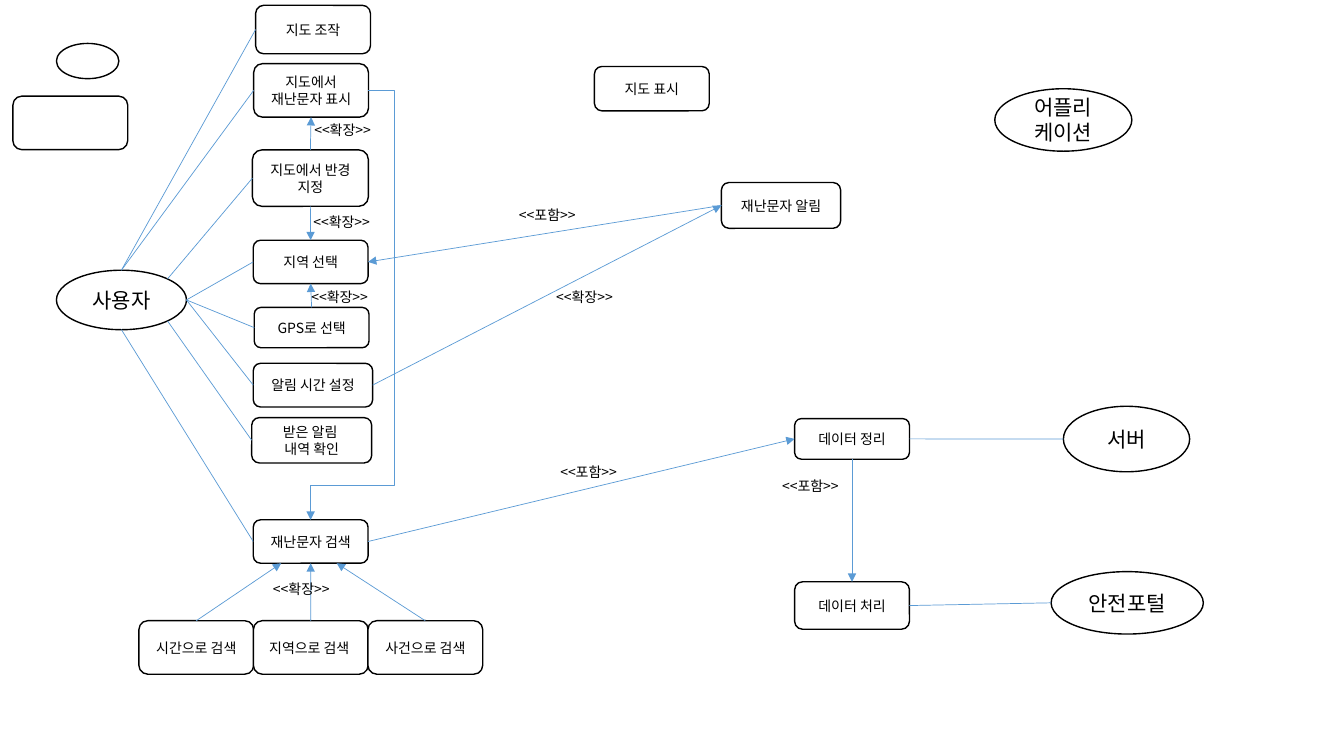
from lxml import etree
from pptx import Presentation
from pptx.dml.color import RGBColor
from pptx.enum.shapes import MSO_CONNECTOR, MSO_SHAPE
from pptx.enum.text import MSO_ANCHOR, MSO_AUTO_SIZE, PP_ALIGN
from pptx.oxml.ns import qn
from pptx.util import Pt

BOX, OVAL = MSO_SHAPE.ROUNDED_RECTANGLE, MSO_SHAPE.OVAL
STRAIGHT, ELBOW = MSO_CONNECTOR.STRAIGHT, MSO_CONNECTOR.ELBOW
CENTER, MIDDLE = PP_ALIGN.CENTER, MSO_ANCHOR.MIDDLE
FIT_SHAPE = MSO_AUTO_SIZE.SHAPE_TO_FIT_TEXT
FONT = "Noto Sans CJK KR"
BLACK, WHITE, BLUE = "000000", "FFFFFF", "5B9BD5"
EXTEND, INCLUDE = "<<확장>>", "<<포함>>"

# Direction of each connection point from the middle of a shape
SIDES = {"top": (0, -1), "left": (-1, 0), "bottom": (0, 1), "right": (1, 0),
         "upper right": (0.71, -0.71), "lower right": (0.71, 0.71)}
SITES = ["top", "left", "bottom", "right"]

# name: (text, left, top, width, height)
ACTORS = {
    "key oval": ("", 40.3, 31, 44.6, 25.2),
    "user": ("사용자", 40.3, 193, 92.9, 42.5),
    "app": ("어플리케이션", 710.6, 63.4, 97.9, 44.6),
    "server": ("서버", 759.6, 290.2, 90.2, 46.8),
    "portal": ("안전포털", 750.8, 408.3, 108.7, 44.6),
}
USE_CASES = {
    "key box": ("", 9.2, 68.7, 82, 38.2),
    "map control": ("지도 조작", 182.6, 3.8, 82, 34.6),
    "map messages": ("지도에서 재난문자 표시", 181.2, 45.5, 82, 38.2),
    "map radius": ("지도에서 반경 지정", 180.3, 107.1, 82.8, 40.3),
    "region": ("지역 선택", 180.9, 171.6, 82, 31),
    "gps": ("GPS로 선택", 181.6, 219.6, 82, 28.8),
    "alarm time": ("알림 시간 설정", 180.9, 259.5, 85.3, 31.2),
    "alarm log": ("받은 알림 \n내역 확인", 179.8, 298.3, 85.7, 32.4),
    "search": ("재난문자 검색", 180.9, 371.3, 82, 31),
    "map view": ("지도 표시", 424.6, 47.5, 82, 31.7),
    "alarm": ("재난문자 알림", 515.3, 130.4, 85.2, 32.7),
    "tidy": ("데이터 정리", 567.6, 299, 82, 29),
    "process": ("데이터 처리", 567.6, 415.6, 82, 33.9),
}
SEARCHES = ["시간으로 검색", "지역으로 검색 ", "사건으로 검색"]
SEARCH_LEFT, SEARCH_TOP, SEARCH_STEP = 99.2, 443.4, 81.8
SEARCH_ENDS = [200.9, 221.9, 240.5]

# user side, use case
USER_LINKS = [("top", "map control"), ("top", "map messages"),
              ("upper right", "map radius"), ("right", "region"),
              ("right", "gps"), ("right", "alarm time"),
              ("lower right", "alarm log"), ("bottom", "search")]
ACTOR_LINKS = [("tidy", "server"), ("process", "portal")]
# from, side, to, side
ARROWS = [("map radius", "top", "map messages", "bottom"),
          ("map radius", "bottom", "region", "top"),
          ("gps", "top", "region", "bottom"),
          ("alarm", "left", "region", "right"),
          ("alarm time", "right", "alarm", "left"),
          ("search", "right", "tidy", "left"),
          ("tidy", "bottom", "process", "top")]
LABELS = [(EXTEND, 217.4, 83), (EXTEND, 216.7, 149), (EXTEND, 215.3, 202.5),
          (EXTEND, 390.2, 202.2), (EXTEND, 187.9, 411.3),
          (INCLUDE, 363.6, 144), (INCLUDE, 393.1, 327.5),
          (INCLUDE, 551.5, 337.6)]


def color(hex_string):
    """Turn a hex string into a colour."""
    return RGBColor.from_string(hex_string)


def add_run(p, text, size):
    """Add one black run in the slide's font."""
    r = p.add_run()
    r.text = text
    r.font.size = Pt(size)
    r.font.name = FONT
    r.font.color.rgb = color(BLACK)
    latin = r.font._element.find(qn("a:latin"))
    ea = etree.Element(qn("a:ea"), typeface=FONT)
    latin.addnext(ea)


def add_node(s, kind, text, left, top, width, height, size):
    """Add an outlined shape with centred text."""
    sp = s.shapes.add_shape(kind, Pt(left), Pt(top), Pt(width), Pt(height))
    sp.shadow.inherit = False
    sp.fill.solid()
    sp.fill.fore_color.rgb = color(WHITE)
    sp.line.color.rgb = color(BLACK)
    sp.line.width = Pt(1)
    tf = sp.text_frame
    tf.word_wrap = True
    tf.vertical_anchor = MIDDLE
    for i, line in enumerate(text.split("\n") if text else []):
        p = tf.add_paragraph() if i else tf.paragraphs[0]
        p.alignment = CENTER
        add_run(p, line, size)
    return sp


def add_label(s, text, left, top):
    """Add a one-line relation label."""
    tf = s.shapes.add_textbox(Pt(left), Pt(top), Pt(63.4), Pt(19.4)).text_frame
    tf.word_wrap = False
    tf.auto_size = FIT_SHAPE
    add_run(tf.paragraphs[0], text, 10)


def point(sp, side):
    """Return the place of a shape's connection point."""
    dx, dy = SIDES[side]
    return (int(sp.left + sp.width * (1 + dx) / 2),
            int(sp.top + sp.height * (1 + dy) / 2))


def add_line(s, start, end, arrow=False, kind=STRAIGHT):
    """Add a thin blue connector between two points."""
    c = s.shapes.add_connector(kind, *start, *end)
    c.line.color.rgb = color(BLUE)
    c.line.width = Pt(0.5)
    if arrow:
        etree.SubElement(c.line._get_or_add_ln(), qn("a:tailEnd"),
                         type="triangle")
    etree.SubElement(c._element.spPr, qn("a:effectLst"))
    return c


def link(s, a, a_side, b, b_side, arrow=False, kind=STRAIGHT):
    """Join two shapes, gluing the ends that sit on a box."""
    c = add_line(s, point(a, a_side), point(b, b_side), arrow, kind)
    if a.auto_shape_type == BOX:
        c.begin_connect(a, SITES.index(a_side))
    if b.auto_shape_type == BOX:
        c.end_connect(b, SITES.index(b_side))
    return c


def set_three_bends(c, across, down):
    """Give an elbow connector three bends at the given ratios."""
    geom = c._element.spPr.find(qn("a:prstGeom"))
    geom.set("prst", "bentConnector4")
    guides = geom.find(qn("a:avLst"))
    if guides is None:
        guides = etree.SubElement(geom, qn("a:avLst"))
    for name, ratio in (("adj1", across), ("adj2", down)):
        etree.SubElement(guides, qn("a:gd"), name=name,
                         fmla=f"val {round(ratio * 100000)}")


def main():
    """Build the use case diagram."""
    prs = Presentation()
    prs.slide_width, prs.slide_height = Pt(960), Pt(540)
    s = prs.slides.add_slide(prs.slide_layouts[6])
    nodes = {}
    for kind, group, size in ((OVAL, ACTORS, 15), (BOX, USE_CASES, 10)):
        for name, node in group.items():
            nodes[name] = add_node(s, kind, *node, size)
    for i, (text, end) in enumerate(zip(SEARCHES, SEARCH_ENDS)):
        sp = add_node(s, BOX, text, SEARCH_LEFT + i * SEARCH_STEP, SEARCH_TOP,
                      82, 38.2, 10)
        add_line(s, point(sp, "top"),
                 (Pt(end), point(nodes["search"], "bottom")[1]), arrow=True)
    for side, name in USER_LINKS:
        link(s, nodes["user"], side, nodes[name], "left")
    for name, actor in ACTOR_LINKS:
        link(s, nodes[name], "right", nodes[actor], "left")
    for a, a_side, b, b_side in ARROWS:
        link(s, nodes[a], a_side, nodes[b], b_side, arrow=True)
    bent = link(s, nodes["map messages"], "right", nodes["search"], "top",
                arrow=True, kind=ELBOW)
    set_three_bends(bent, -0.44, 0.92)
    for label in LABELS:
        add_label(s, *label)
    prs.save("out.pptx")


main()
